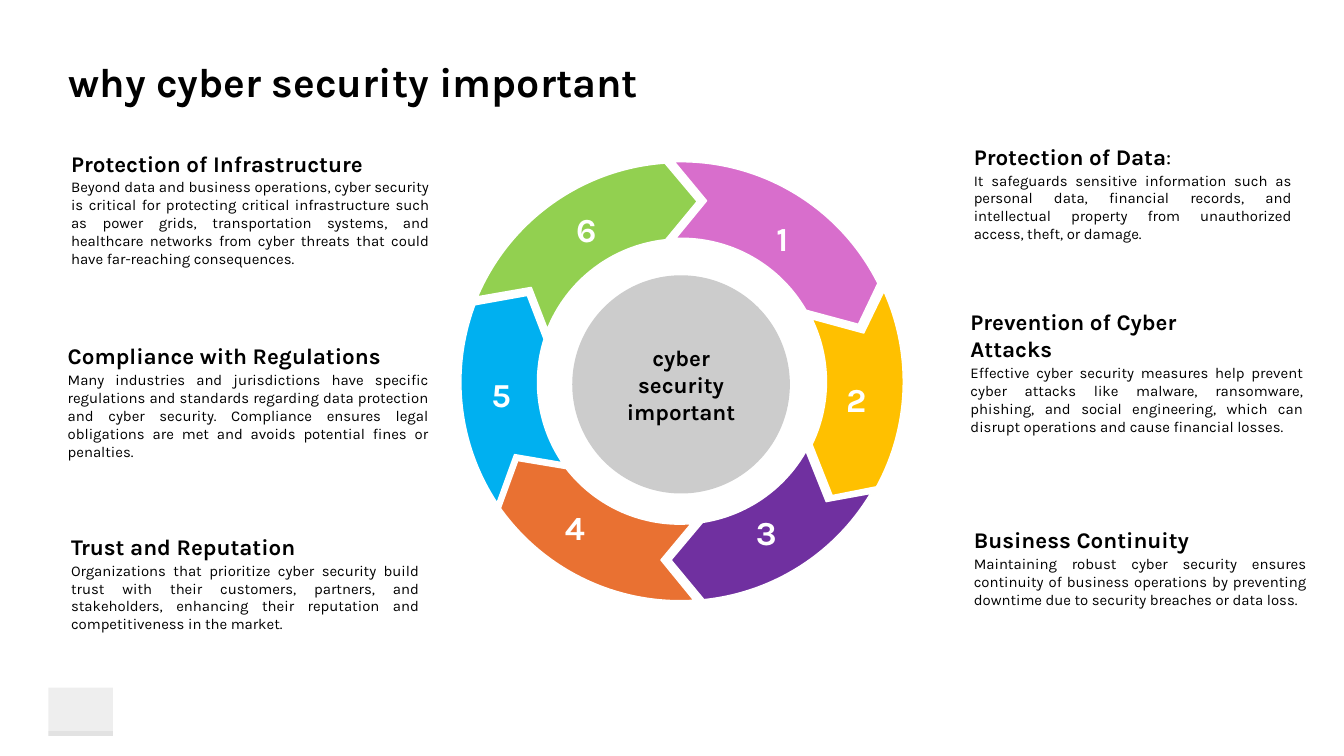
import math

import pptx
import pptx.util
import pptx.dml.color
import pptx.enum.shapes
import pptx.enum.text
from lxml import etree
from pptx.oxml.ns import qn

RGB = pptx.dml.color.RGBColor
ALIGN = pptx.enum.text.PP_ALIGN
ANCHOR = pptx.enum.text.MSO_ANCHOR
SHAPE = pptx.enum.shapes.MSO_SHAPE

PX = 9144  # one px is a hundredth of an inch
FONT = "Karla"
OUTER_R, INNER_R = 328, 214
TURN = 239.7  # rotation of every ring segment, in degrees

BLACK = RGB(0x00, 0x00, 0x00)
WHITE = RGB(0xFF, 0xFF, 0xFF)
GREY = RGB(0xBF, 0xBF, 0xBF)
HUB = RGB(0xCC, 0xCC, 0xCC)
PINK = RGB(0xD8, 0x6E, 0xCC)
YELLOW = RGB(0xFF, 0xC0, 0x00)
PURPLE = RGB(0x70, 0x30, 0xA0)
ORANGE = RGB(0xE9, 0x71, 0x32)
BLUE = RGB(0x00, 0xB0, 0xF0)
GREEN = RGB(0x92, 0xD0, 0x50)

TITLE = {"size": pptx.util.Pt(44), "bold": True}
HEADING = {"size": pptx.util.Pt(24), "bold": True}
BODY = {"size": pptx.util.Pt(16), "bold": False}
NUMBER = {"size": pptx.util.Pt(36), "bold": True}

# colour, number box corner, then outer start, outer end, tip,
# inner start, inner end, notch
SEGMENTS = [
    (PINK, (1102, 319), (1004, 241), (1307, 422), (1278, 483),
     (1200, 462), (1006, 355), (1052, 299)),
    (YELLOW, (1212, 559), (1316, 434), (1305, 725), (1239, 738),
     (1209, 662), (1209, 475), (1286, 496)),
    (PURPLE, (1078, 757), (1296, 735), (1048, 893), (999, 834),
     (1046, 778), (1200, 672), (1230, 747)),
    (ORANGE, (793, 750), (1033, 894), (745, 757), (771, 686),
     (843, 698), (1029, 780), (984, 834)),
    (BLUE, (683, 552), (740, 749), (707, 454), (785, 440),
     (810, 505), (837, 689), (766, 677)),
    (GREEN, (810, 306), (711, 442), (990, 243), (1038, 300),
     (991, 357), (815, 490), (791, 428)),
]

# heading box, body top, body width and height, heading, heading suffix, body
REASONS = [
    ((96, 218, 521, 50), 260, (553, 145), "Protection of Infrastructure", "",
     "Beyond data and business operations, cyber security is critical for "
     "protecting critical infrastructure such as power grids, transportation "
     "systems, and healthcare networks from cyber threats that could have "
     "far-reaching consequences."),
    ((91, 505, 526, 50), 547, (557, 118), "Compliance with Regulations", "",
     "Many industries and jurisdictions have specific regulations and "
     "standards regarding data protection and cyber security. Compliance "
     "ensures legal obligations are met and avoids potential fines or "
     "penalties."),
    ((96, 789, 420, 50), 831, (538, 118), "Trust and Reputation", "",
     "Organizations that prioritize cyber security build trust with their "
     "customers, partners, and stakeholders, enhancing their reputation and "
     "competitiveness in the market."),
    ((1440, 208, 510, 50), 250, (493, 118), "Protection of Data", ":",
     "It safeguards sensitive information such as personal data, financial "
     "records, and intellectual property from unauthorized access, theft, or "
     "damage."),
    ((1435, 453, 420, 91), 537, (515, 118), "Prevention of Cyber Attacks", "",
     "Effective cyber security measures help prevent cyber attacks like "
     "malware, ransomware, phishing, and social engineering, which can "
     "disrupt operations and cause financial losses."),
    ((1440, 778, 420, 50), 821, (515, 91), "Business Continuity", "",
     "Maintaining robust cyber security ensures continuity of business "
     "operations by preventing downtime due to security breaches or data "
     "loss."),
]


def emu(box):
    return [v * PX for v in box]


def add_run(p, text, fmt, color=BLACK):
    r = p.add_run()
    r.text = text
    for name, value in {"name": FONT, **fmt}.items():
        setattr(r.font, name, value)
    r.font.color.rgb = color


def add_text(s, box, text, fmt, color=BLACK, align=ALIGN.LEFT, anchor=ANCHOR.TOP):
    tf = s.shapes.add_textbox(*emu(box)).text_frame
    frame = {"word_wrap": True, "vertical_anchor": anchor,
             "auto_size": pptx.enum.text.MSO_AUTO_SIZE.SHAPE_TO_FIT_TEXT}
    for name, value in frame.items():
        setattr(tf, name, value)
    p = tf.paragraphs[0]
    p.alignment = align
    add_run(p, text, fmt, color)
    return p


def paint(sp, color, alpha=None):
    sp.shadow.inherit = False
    sp.fill.solid()
    sp.fill.fore_color.rgb = color
    sp.line.fill.background()
    if alpha is not None:
        clr = sp._element.spPr.find(".//" + qn("a:srgbClr"))
        etree.SubElement(clr, qn("a:alpha")).set("val", str(alpha * 1000))


def add_preset(s, kind, box, color, alpha=None):
    sp = s.shapes.add_shape(kind, *emu(box))
    paint(sp, color, alpha)
    return sp


def rotate(point, degrees):
    a = math.radians(degrees)
    x, y = point
    return (x * math.cos(a) - y * math.sin(a), x * math.sin(a) + y * math.cos(a))


def arc(start, end, radius):
    """Start, then two Bezier curves (three points each) clockwise to end."""
    (x0, y0), (x1, y1) = start, end
    dx, dy = x1 - x0, y1 - y0
    chord = math.hypot(dx, dy)
    rise = math.sqrt(radius ** 2 - chord ** 2 / 4) / chord
    cx, cy = (x0 + x1) / 2 - dy * rise, (y0 + y1) / 2 + dx * rise
    first = math.atan2(y0 - cy, x0 - cx)
    half = math.asin(chord / 2 / radius)
    pull = 4 / 3 * math.tan(half / 4)

    def at(angle, along):
        c, n = math.cos(angle), math.sin(angle)
        return (cx + radius * (c - along * n), cy + radius * (n + along * c))

    points = [start]
    for a in (first, first + half):
        points += [at(a, pull), at(a + half, -pull), at(a + half, 0)]
    return points


def bend(sp, starts):
    """Turn three line segments from each start index into one curve."""
    lines = list(sp._element.iter(qn("a:lnTo")))
    for i in starts:
        for line in lines[i + 1:i + 3]:
            lines[i].append(line[0])
            line.getparent().remove(line)
        lines[i].tag = qn("a:cubicBezTo")


def add_segment(s, color, out_start, out_end, tip, in_start, in_end, notch):
    points = arc(out_start, out_end, OUTER_R) + [tip]
    points += arc(in_end, in_start, INNER_R)[::-1] + [notch]
    points = [emu(rotate(pt, -TURN)) for pt in points]
    fb = s.shapes.build_freeform(*points[0], scale=1.0)
    fb.add_line_segments(points[1:], close=True)
    sp = fb.convert_to_shape()
    bend(sp, (0, 3, 8, 11))
    cx, cy = rotate((sp.left + sp.width / 2, sp.top + sp.height / 2), TURN)
    sp.left, sp.top = round(cx - sp.width / 2), round(cy - sp.height / 2)
    sp.rotation = TURN
    paint(sp, color)
    sp.line.color.rgb = WHITE
    sp.line.width = pptx.util.Pt(1.5)


def add_reason(s, box, body_top, body_size, heading, suffix, body):
    p = add_text(s, box, heading, HEADING, anchor=ANCHOR.BOTTOM)
    if suffix:
        add_run(p, suffix, {**HEADING, "bold": False})
    add_text(s, (box[0], body_top, *body_size), body, BODY, align=ALIGN.JUSTIFY)


def add_hub(s):
    tf = add_preset(s, SHAPE.OVAL, (852, 410, 324, 325), HUB).text_frame
    tf.word_wrap = True
    tf.vertical_anchor = ANCHOR.MIDDLE
    p = tf.paragraphs[0]
    p.alignment = ALIGN.CENTER
    add_run(p, "cyber security important", HEADING)


def main():
    prs = pptx.Presentation()
    prs.slide_width, prs.slide_height = emu((2001, 1126))
    s = prs.slides.add_slide(prs.slide_layouts[6])

    # Corner mark
    for box in [(72, 1024, 96, 72), (72, 1089, 96, 7)]:
        add_preset(s, SHAPE.RECTANGLE, box, GREY, alpha=25)

    # Ring of arrows, then the numbers on top
    for color, _, *corners in SEGMENTS:
        add_segment(s, color, *corners)
    for number, (_, corner, *_) in enumerate(SEGMENTS, 1):
        add_text(s, (*corner, 126, 71), str(number), NUMBER, WHITE,
                 ALIGN.CENTER, ANCHOR.MIDDLE)

    # Reasons on both sides
    for reason in REASONS:
        add_reason(s, *reason)

    # Title and hub
    add_text(s, (92, 79, 891, 84), "why cyber security important", TITLE)
    add_hub(s)

    prs.save("out.pptx")


if __name__ == "__main__":
    main()
